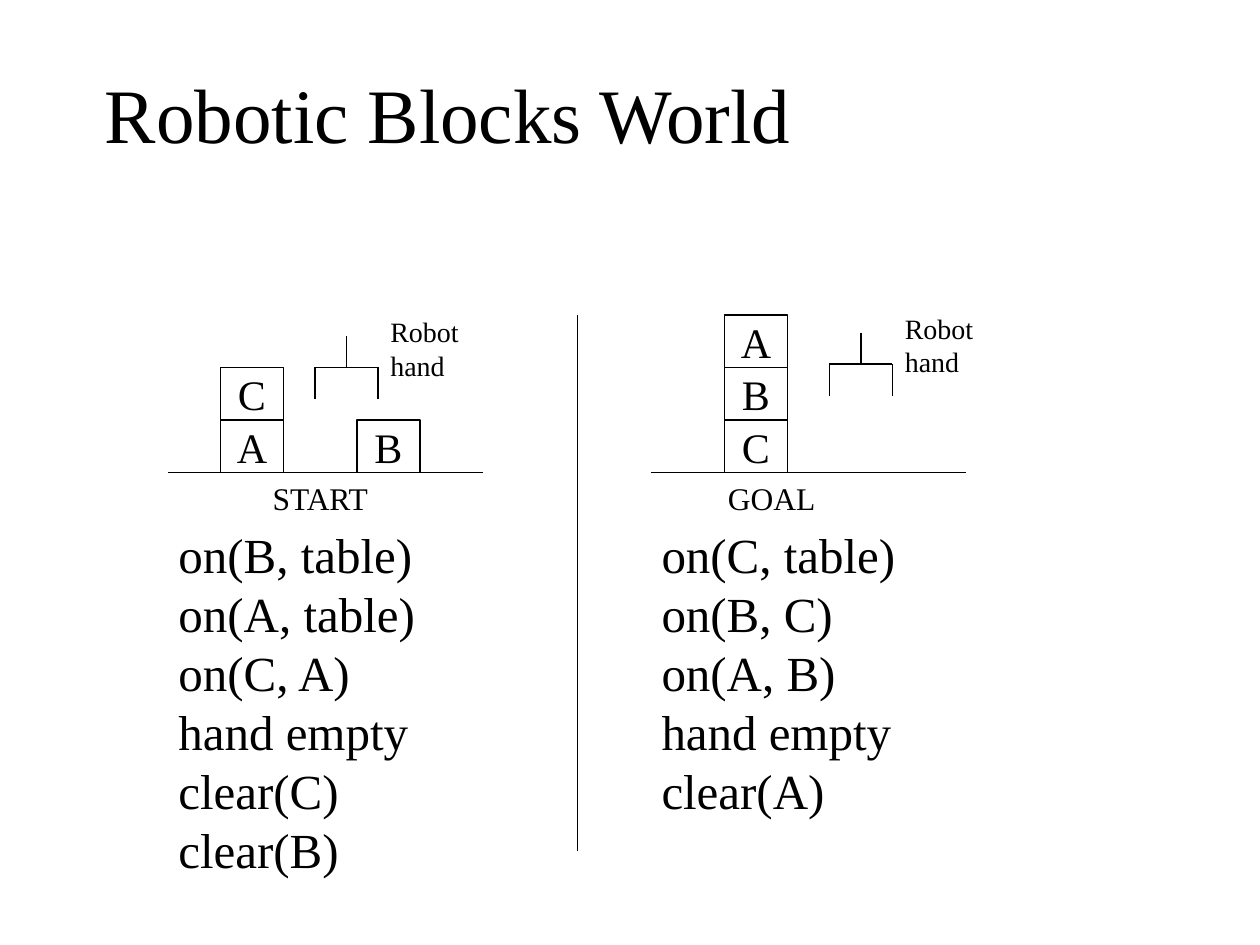
from dataclasses import dataclass

import lxml.etree
import pptx
import pptx.dml.color
import pptx.enum.shapes
import pptx.enum.text
import pptx.oxml.ns
import pptx.util

ALIGN = pptx.enum.text.PP_ALIGN
ANCHOR = pptx.enum.text.MSO_ANCHOR


@dataclass(frozen=True)
class Theme:
    font: str = "Times New Roman"
    ink: pptx.dml.color.RGBColor = pptx.dml.color.RGBColor(0, 0, 0)
    line: float = 0.75
    title: int = 44
    facts: int = 28
    block: int = 24
    caption: int = 18
    label: int = 16


@dataclass(frozen=True)
class Box:
    """Area measured in grid cells."""
    left: float
    top: float
    width: float
    height: float

    def inner(self, column, row, width, height):
        return Box(self.left + column, self.top + row, width, height)


THEME = Theme()
COLUMNS, ROWS = 120, 90
BLOCK_WIDTH, BLOCK_HEIGHT = 6, 5
TABLE_ROW = 15


def cells(count):
    """Convert grid cells, twelve to the inch, to a length."""
    return pptx.util.Inches(count / 12)


def edges(box):
    return [cells(side) for side in (box.left, box.top, box.width, box.height)]


def write(shape, text, size, align=ALIGN.LEFT, anchor=ANCHOR.TOP, wrap=True,
          inset=(0.1, 0.05), before=0, spacing=None):
    frame = shape.text_frame
    frame.word_wrap = wrap
    frame.vertical_anchor = anchor
    frame.margin_left = frame.margin_right = pptx.util.Inches(inset[0])
    frame.margin_top = frame.margin_bottom = pptx.util.Inches(inset[1])
    for index, line in enumerate(text.split("\n")):
        para = frame.add_paragraph() if index else frame.paragraphs[0]
        para.alignment = align
        para.space_before = pptx.util.Pt(before)
        if spacing:
            para.line_spacing = spacing
        span = para.add_run()
        span.text = line
        span.font.name = THEME.font
        span.font.size = pptx.util.Pt(size)
        span.font.color.rgb = THEME.ink


def add_text(page, box, text, size, **style):
    write(page.shapes.add_textbox(*edges(box)), text, size, **style)


def add_line(page, start, end):
    line = page.shapes.add_connector(
        pptx.enum.shapes.MSO_CONNECTOR.STRAIGHT,
        *[cells(value) for value in (*start, *end)])
    line.line.color.rgb = THEME.ink
    line.line.width = pptx.util.Pt(THEME.line)
    lxml.etree.SubElement(line._element.spPr, pptx.oxml.ns.qn("a:effectLst"))


def add_block(page, box, letter):
    block = page.shapes.add_shape(
        pptx.enum.shapes.MSO_SHAPE.RECTANGLE, *edges(box))
    block.shadow.inherit = False
    block.fill.background()
    block.line.color.rgb = THEME.ink
    block.line.width = pptx.util.Pt(THEME.line)
    write(block, letter, THEME.block, align=ALIGN.CENTER,
          anchor=ANCHOR.MIDDLE, wrap=False)


def add_stack(page, box, column, letters):
    """Pile blocks on the table, first letter lowest."""
    for level, letter in enumerate(letters, start=1):
        row = TABLE_ROW - level * BLOCK_HEIGHT
        add_block(page, box.inner(column, row, BLOCK_WIDTH, BLOCK_HEIGHT), letter)


def add_hand(page, box):
    left, right = box.left, box.left + box.width
    middle = left + box.width / 2
    palm, tip = box.top + box.height / 2, box.top + box.height
    add_line(page, (left, palm), (left, tip))
    add_line(page, (left, palm), (right, palm))
    add_line(page, (right, palm), (right, tip))
    add_line(page, (middle, box.top), (middle, palm))
    add_text(page, box.inner(box.width, -2.6, 12, 7.7), "Robot hand",
             THEME.label, before=10)


def add_state(page, box, stacks, hand, caption, caption_column, facts):
    """Draw one world state: blocks on a table, robot hand, caption, facts."""
    table = box.top + TABLE_ROW
    add_line(page, (box.left, table), (box.left + box.width, table))
    for column, letters in stacks.items():
        add_stack(page, box, column, letters)
    add_hand(page, box.inner(*hand, 6, 6))
    add_text(page, box.inner(caption_column, TABLE_ROW, 17, 4.8), caption,
             THEME.caption, align=ALIGN.CENTER, before=11.2)
    add_text(page, box.inner(1, 20, 26, 5.6 * len(facts)), "\n".join(facts),
             THEME.facts, inset=(0, 0))


def add_divider(page, box):
    for length in (box.height, 19):
        add_line(page, (box.left, box.top), (box.left, box.top + length))


def main():
    deck = pptx.Presentation()
    deck.slide_width, deck.slide_height = cells(COLUMNS), cells(ROWS)
    page = deck.slides.add_slide(deck.slide_layouts[6])
    add_text(page, Box(10, 3, 102, 19.2), "Robotic Blocks World", THEME.title,
             anchor=ANCHOR.MIDDLE, inset=(0, 0), spacing=0.41)
    add_divider(page, Box(55, 30, 0, 51))
    add_state(page, Box(16, 30, 30, 54), {5: "AC", 18: "B"}, (14, 2), "START", 6,
              ["on(B, table)", "on(A, table)", "on(C, A)", "hand empty",
               "clear(C)", "clear(B)"])
    add_state(page, Box(62, 30, 30, 54), {7: "CBA"}, (17, 1.67), "GOAL", 3,
              ["on(C, table)", "on(B, C)", "on(A, B)", "hand empty", "clear(A)"])
    deck.save("out.pptx")


if __name__ == "__main__":
    main()
